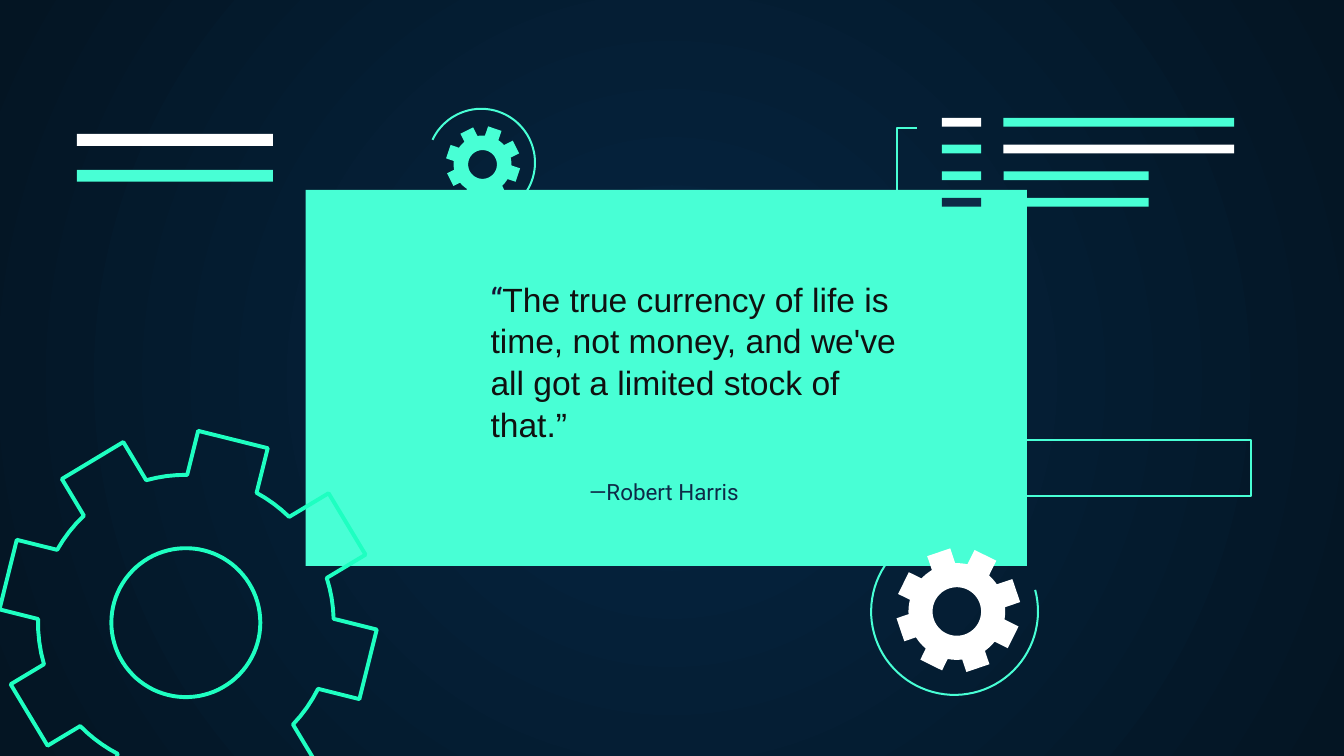
from dataclasses import dataclass
from math import atan2, cos, hypot, pi, radians, sin, sqrt
from typing import Optional

from lxml.etree import SubElement
from pptx import Presentation
from pptx.dml.color import RGBColor
from pptx.enum.shapes import MSO_SHAPE as Preset
from pptx.enum.text import MSO_ANCHOR as Anchor, PP_ALIGN as Align
from pptx.oxml.ns import qn
from pptx.util import Pt

COLORS = {
    "mint": "48FFD5",
    "bright": "1EFFC1",
    "white": "FFFFFF",
    "navy": "0E2A47",
    "ink": "101010",
    "quote_mark": "161234",
    "glow": "052643",
    "night": "041523",
}
TEETH = 8
THIN = 1.09
Point = tuple[float, float]


@dataclass
class Bar:
    left: float
    top: float
    width: float
    height: float
    fill: Optional[str] = None
    line: Optional[str] = None


@dataclass
class Gear:
    center: Point
    hub: Point
    tip: float
    root: float
    hole: float
    half_tooth: float
    phase: float
    fill: Optional[str] = None
    line: Optional[str] = None


@dataclass
class Orbit:
    center: Point
    radius: float
    start: float
    end: float


def rgb(name: str) -> RGBColor:
    return RGBColor.from_string(COLORS[name])


def paint(shape, fill: Optional[str], line: Optional[str], weight: float = THIN) -> None:
    shape.shadow.inherit = False
    if fill:
        shape.fill.solid()
        shape.fill.fore_color.rgb = rgb(fill)
    else:
        shape.fill.background()
    if line:
        shape.line.color.rgb = rgb(line)
        shape.line.width = Pt(weight)
    else:
        shape.line.fill.background()


def arc_points(center: Point, radius: float, start: float, end: float) -> list[Point]:
    steps = max(4, round(abs(end - start) / radians(4)))
    angles = [start + (end - start) * i / steps for i in range(steps + 1)]
    return [(center[0] + radius * cos(a), center[1] + radius * sin(a)) for a in angles]


def draw_outline(shapes, contours: list[list[Point]], closed: bool):
    scaled = [[(Pt(x), Pt(y)) for x, y in contour] for contour in contours]
    builder = shapes.build_freeform(*scaled[0][0], scale=1.0)
    for index, contour in enumerate(scaled):
        if index:
            builder.move_to(*contour[0])
        builder.add_line_segments(contour[1:], close=closed)
    return builder.convert_to_shape()


def draw_bar(shapes, bar: Bar) -> None:
    shape = shapes.add_shape(
        Preset.RECTANGLE, Pt(bar.left), Pt(bar.top), Pt(bar.width), Pt(bar.height)
    )
    paint(shape, bar.fill, bar.line)


def tooth(gear: Gear, angle: float) -> list[Point]:
    ux, uy = cos(angle), sin(angle)
    dx, dy = gear.hub[0] - gear.center[0], gear.hub[1] - gear.center[1]

    def place(along: float, side: float) -> Point:
        return gear.center[0] + along * ux - side * uy, gear.center[1] + along * uy + side * ux

    def base(side: float) -> float:
        return dx * ux + dy * uy + sqrt(gear.root**2 - (side + dx * uy - dy * ux) ** 2)

    half = gear.half_tooth
    top = sqrt(gear.tip**2 - half**2)
    return [place(base(-half), -half), place(top, -half), place(top, half), place(base(half), half)]


def draw_gear(shapes, gear: Gear) -> None:
    teeth = [tooth(gear, radians(gear.phase) + 2 * pi * i / TEETH) for i in range(TEETH)]
    rim = []
    for current, following in zip(teeth, teeth[1:] + teeth[:1]):
        start, end = (
            atan2(y - gear.hub[1], x - gear.hub[0]) for x, y in (current[-1], following[0])
        )
        valley = arc_points(gear.hub, gear.root, start, start + (end - start) % (2 * pi))
        rim += current + valley[1:-1]
    hole = arc_points(gear.hub, gear.hole, 2 * pi, 0)[:-1]
    paint(draw_outline(shapes, [rim, hole], True), gear.fill, gear.line, 2.1)


def draw_orbit(shapes, orbit: Orbit) -> None:
    points = arc_points(orbit.center, orbit.radius, radians(orbit.start), radians(orbit.end))
    paint(draw_outline(shapes, [points], False), None, "mint")


def set_background(slide) -> None:
    fill = slide.background.fill
    fill.gradient()
    for stop, color in zip(fill.gradient_stops, ("glow", "night")):
        stop.color.rgb = rgb(color)
    gradient = slide.element.find(".//" + qn("a:gradFill"))
    gradient.remove(gradient.find(qn("a:lin")))
    path = SubElement(gradient, qn("a:path"), {"path": "circle"})
    SubElement(path, qn("a:fillToRect"), {side: "50000" for side in "ltrb"})


def write_attribution(slide) -> None:
    author = slide.shapes.title
    slide.shapes.element.append(author.element)
    author.left, author.top, author.width, author.height = Pt(216.7), Pt(125.3), Pt(278), Pt(152.6)
    frame = author.text_frame
    frame.word_wrap = True
    frame.vertical_anchor = Anchor.BOTTOM
    frame.margin_left = frame.margin_right = frame.margin_top = frame.margin_bottom = Pt(7.2)
    paragraph = frame.paragraphs[0]
    paragraph.text = "—Robert Harris"
    paragraph.alignment = Align.CENTER
    paragraph.font.name = "Roboto"
    paragraph.font.size = Pt(12)
    paragraph.font.color.rgb = rgb("navy")


def write_quote(slide) -> None:
    frame = slide.shapes.add_textbox(Pt(219.6), Pt(141.1), Pt(272.2), Pt(111.6)).text_frame
    frame.word_wrap = True
    frame.margin_left = Pt(43.2)
    frame.margin_right = frame.margin_top = frame.margin_bottom = Pt(7.2)
    paragraph = frame.paragraphs[0]
    paragraph.alignment = Align.LEFT
    paragraph.line_spacing = 1.04
    paragraph.font.size = Pt(18)
    words = "The true currency of life is time, not money, and we've all got a limited stock of that.”"
    for text, font, color in (("“", "Roboto", "quote_mark"), (words, "Arial", "ink")):
        run = paragraph.add_run()
        run.text = text
        run.font.name = font
        run.font.size = Pt(18)
        run.font.color.rgb = rgb(color)


def main() -> None:
    deck = Presentation()
    deck.slide_width, deck.slide_height = Pt(720), Pt(405)
    slide = deck.slides.add_slide(deck.slide_layouts[5])
    shapes = slide.shapes
    set_background(slide)

    draw_bar(shapes, Bar(163.7, 101.7, 386.5, 201.5, "mint"))
    draw_orbit(shapes, Orbit((257.8, 87.1), 28.8, 205, 456))
    draw_orbit(shapes, Orbit((511.4, 327.6), 44.7, -15, 233))
    for gear in (
        Gear((100.8, 331.9), (99.6, 333.6), 101.2, 79.2, 39.9, 19.2, 14, line="bright"),
        Gear((513.4, 326.9), (512.6, 327.6), 33.4, 25.9, 13, 6.5, 26.3, "white"),
        Gear((258.8, 87.5), (258.5, 88.1), 20, 15.5, 7.7, 3.8, 18.6, "mint"),
    ):
        draw_gear(shapes, gear)

    menu = (
        ("white", "mint", 123.6),
        ("mint", "white", 123.6),
        ("mint", "mint", 77.8),
        ("navy", "mint", 77.8),
    )
    for row, (marker, entry, length) in enumerate(menu):
        top = 63.2 + 14.3 * row
        draw_bar(shapes, Bar(504.6, top, 21, 4.7, marker))
        draw_bar(shapes, Bar(537.6, top, length, 4.7, entry))

    bracket = [(491.4, 112), (480.4, 112), (480.4, 68.5), (491.2, 68.5)]
    paint(draw_outline(shapes, [bracket], False), None, "mint")
    for top, color in ((71.8, "white"), (91, "mint")):
        draw_bar(shapes, Bar(41.2, top, 105, 6.4, color))
    draw_bar(shapes, Bar(518.4, 235.7, 151.9, 30.1, line="mint"))

    write_attribution(slide)
    write_quote(slide)
    deck.save("out.pptx")


if __name__ == "__main__":
    main()
